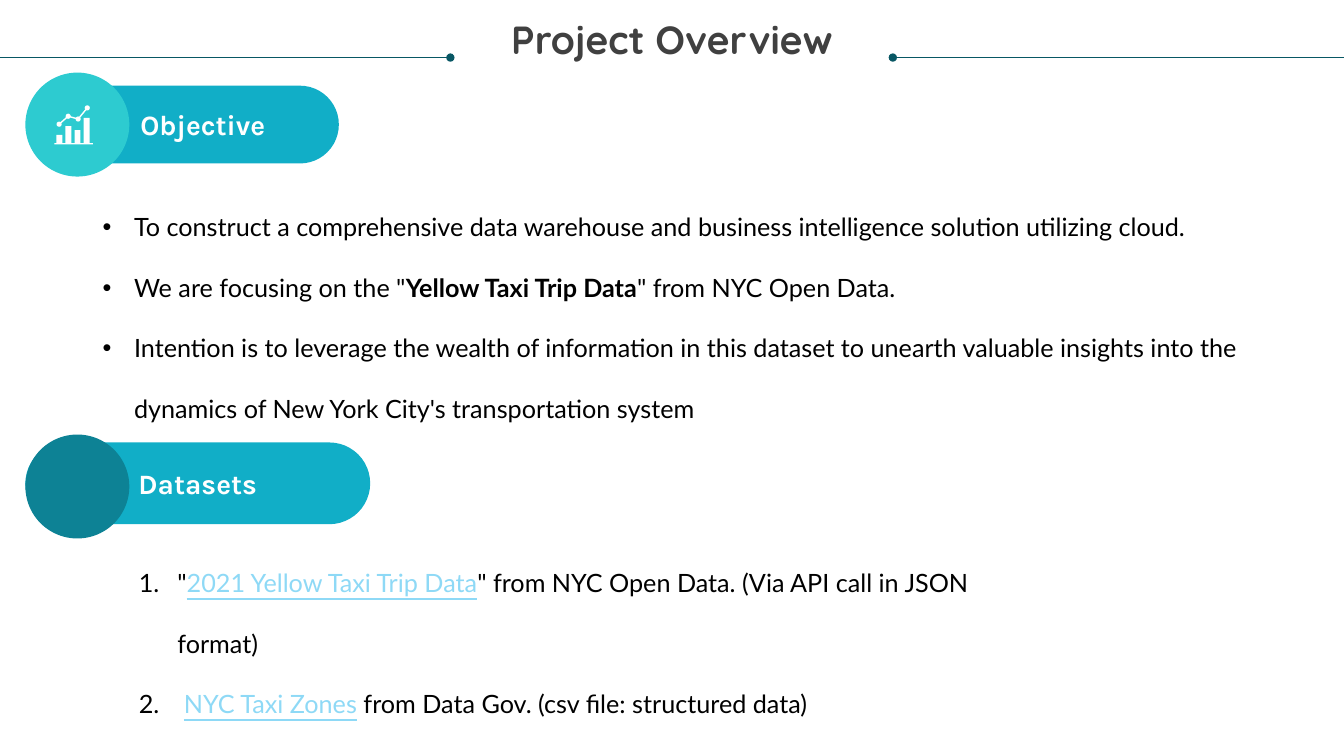
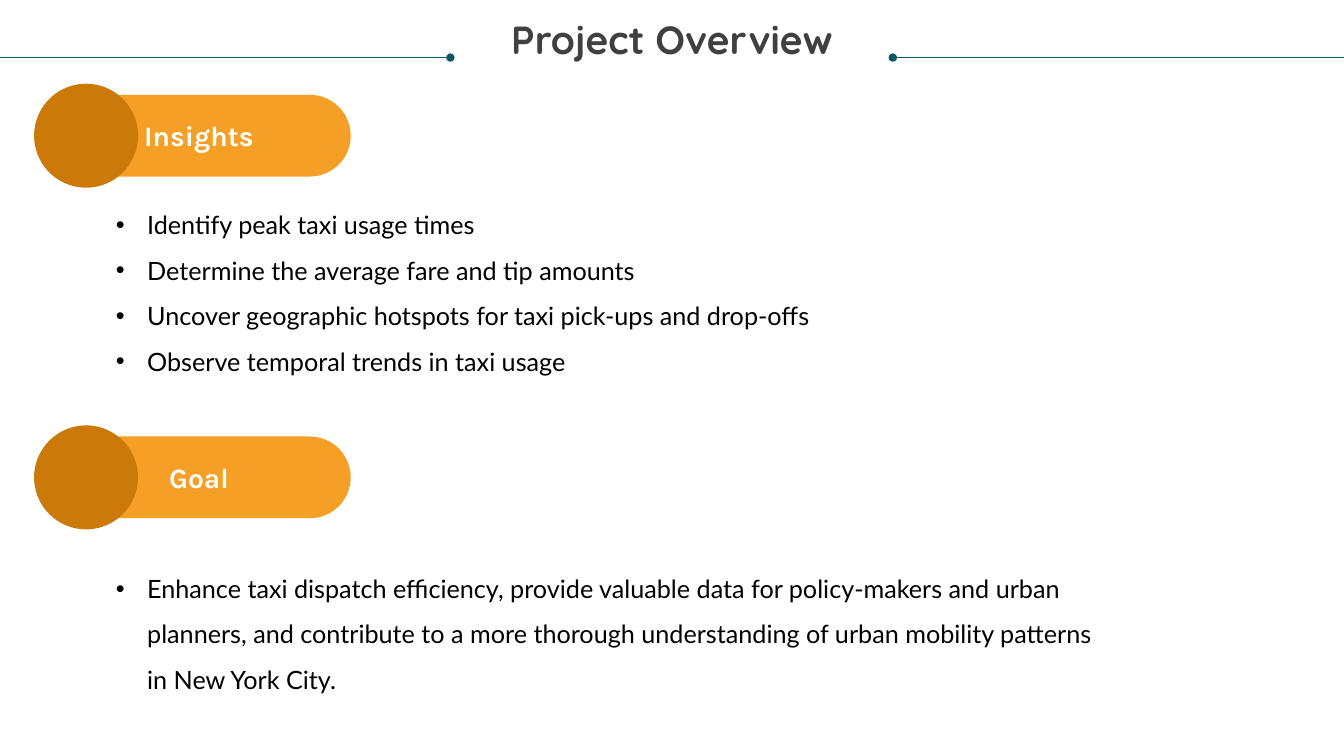
from lxml.etree import SubElement
from pptx import Presentation
from pptx.dml.color import RGBColor
from pptx.enum.shapes import MSO_CONNECTOR, MSO_SHAPE
from pptx.enum.text import MSO_ANCHOR, MSO_AUTO_SIZE, PP_ALIGN
from pptx.oxml.ns import qn
from pptx.util import Cm, Pt

WHITE = RGBColor(0xFF, 0xFF, 0xFF)
BLACK = RGBColor(0x00, 0x00, 0x00)
CHARCOAL = RGBColor(0x40, 0x40, 0x40)
DARK_TEAL = RGBColor(0x08, 0x57, 0x64)
BLUE = RGBColor(0x11, 0xAE, 0xC7)
AQUA = RGBColor(0x2D, 0xCB, 0xD0)
TEAL = RGBColor(0x0D, 0x82, 0x95)
ORANGE = RGBColor(0xF5, 0x9F, 0x26)
BROWN = RGBColor(0xCB, 0x7A, 0x09)
LINK_BLUE = RGBColor(0x8E, 0xD9, 0xF6)

TITLE = {"name": "Quicksand", "size": Pt(28), "bold": True, "color": CHARCOAL}
HEADING = {"name": "Karla", "size": Pt(20), "bold": True, "color": WHITE}
BODY = {"name": "Lato", "size": Pt(18), "color": BLACK}
STRONG = {**BODY, "bold": True}
LINK = {**BODY, "underline": True, "color": LINK_BLUE}

SLIDE_WIDTH = 33.87
RULE_TOP = 1.45
CIRCLE_SIZE = 2.62


def add_span(para, text, formats):
    span = para.add_run()
    span.text = text
    for name, value in formats.items():
        if name == "color":
            span.font.color.rgb = value
        else:
            setattr(span.font, name, value)


def add_text_box(page, area):
    box = page.shapes.add_textbox(*map(Cm, area))
    box.text_frame.word_wrap = True
    box.text_frame.auto_size = MSO_AUTO_SIZE.SHAPE_TO_FIT_TEXT
    return box.text_frame


def add_rule(page, start, end, dot_end):
    rule = page.shapes.add_connector(
        MSO_CONNECTOR.STRAIGHT, Cm(start), Cm(RULE_TOP), Cm(end), Cm(RULE_TOP))
    rule.line.color.rgb = DARK_TEAL
    rule.line.width = Pt(0.5)
    properties = rule._element.spPr
    SubElement(properties.find(qn("a:ln")), qn(dot_end), type="oval")
    SubElement(properties, qn("a:effectLst"))


def add_title(page, text):
    add_rule(page, 22.5, SLIDE_WIDTH, "a:headEnd")
    add_rule(page, 0, 11.35, "a:tailEnd")
    frame = add_text_box(page, (0.64, 0.53, 32.59, 2.16))
    for side in ("left", "top", "right", "bottom"):
        setattr(frame, f"margin_{side}", 0)
    para = frame.paragraphs[0]
    para.alignment = PP_ALIGN.CENTER
    para.line_spacing = 0.9
    add_span(para, text, TITLE)


def paint(shape, color):
    shape.shadow.inherit = False
    shape.fill.solid()
    shape.fill.fore_color.rgb = color
    shape.line.fill.background()


def add_shape(shapes, kind, area, color):
    shape = shapes.add_shape(kind, *map(Cm, area))
    paint(shape, color)
    return shape


def add_heading(page, text, pill_area, pill_color, circle_at, circle_color, left_inset=0.25):
    pill = add_shape(page.shapes, MSO_SHAPE.ROUNDED_RECTANGLE, pill_area, pill_color)
    pill.adjustments[0] = 0.5
    frame = pill.text_frame
    frame.vertical_anchor = MSO_ANCHOR.MIDDLE
    frame.margin_left = Cm(left_inset)
    para = frame.paragraphs[0]
    para.alignment = PP_ALIGN.CENTER
    add_span(para, text, HEADING)
    add_shape(page.shapes, MSO_SHAPE.OVAL,
              (*circle_at, CIRCLE_SIZE, CIRCLE_SIZE), circle_color)


def add_outline(shapes, points, close):
    corners = [(Cm(x), Cm(y)) for x, y in points]
    builder = shapes.build_freeform(*corners[0])
    builder.add_line_segments(corners[1:], close=close)
    return builder.convert_to_shape()


def add_chart_icon(page):
    shapes = page.shapes.add_group_shape().shapes
    left, right, base, bottom = 1.37, 2.34, 3.61, 3.64
    outline = [(left, bottom), (left, base)]
    for index, top in enumerate((3.4, 3.18, 3.28, 2.97)):
        start = 1.42 + 0.23 * index
        end = start + 0.15
        outline += [(start, base), (start, top), (end, top), (end, base)]
    outline += [(right, base), (right, bottom)]
    paint(add_outline(shapes, outline, True), WHITE)

    points = [(1.49, 3.13), (1.72, 2.93), (1.97, 3), (2.2, 2.72)]
    trend = add_outline(shapes, points, False)
    trend.shadow.inherit = False
    trend.fill.background()
    trend.line.color.rgb = WHITE
    trend.line.width = Pt(1)
    dot = 0.13
    for x, y in points:
        add_shape(shapes, MSO_SHAPE.OVAL, (x - dot / 2, y - dot / 2, dot, dot), WHITE)


def add_list(page, area, items, spacing, indent=0.79, numbered=False):
    frame = add_text_box(page, area)
    for index, item in enumerate(items):
        para = frame.add_paragraph() if index else frame.paragraphs[0]
        para.line_spacing = spacing
        properties = para._p.get_or_add_pPr()
        properties.set("marL", str(Cm(indent)))
        properties.set("indent", str(-Cm(indent)))
        if numbered:
            SubElement(properties, qn("a:buAutoNum"), type="arabicPeriod")
        else:
            SubElement(properties, qn("a:buFont"), typeface="Arial")
            SubElement(properties, qn("a:buChar"), char="•")
        for text, formats in item:
            add_span(para, text, formats)


def add_page(deck):
    page = deck.slides.add_slide(deck.slide_layouts[6])
    add_title(page, "Project Overview")
    return page


def build_objective_page(deck):
    page = add_page(deck)
    add_heading(page, "Objective", (1.3, 2.16, 7.24, 1.96), BLUE, (0.64, 1.83), AQUA, 0.64)
    add_chart_icon(page)
    add_list(page, (2.34, 4.45, 30.07, 6.2), [
        [("To construct a comprehensive data warehouse and business intelligence "
          "solution utilizing cloud.", BODY)],
        [('We are focusing on the "', BODY), ("Yellow Taxi Trip Data", STRONG),
         ('" from NYC Open Data.', BODY)],
        [("Intention is to leverage the wealth of information in this dataset to unearth "
          "valuable insights into the dynamics of New York City's transportation system", BODY)],
    ], 2)
    add_heading(page, "Datasets", (0.64, 11.15, 8.69, 2.06), BLUE, (0.64, 10.95), TEAL)
    add_list(page, (3.25, 13.41, 22.28, 3.12), [
        [('"', BODY), ("2021 Yellow Taxi Trip Data", LINK),
         ('" from NYC Open Data. (Via API call in JSON format)', BODY)],
        [(" ", BODY), ("NYC Taxi Zones", LINK),
         (" from Data Gov. (csv file: structured data)", BODY)],
    ], 2, 0.97, True)


def build_insights_page(deck):
    page = add_page(deck)
    insights = (
        "Identify peak taxi usage times",
        "Determine the average fare and tip amounts",
        "Uncover geographic hotspots for taxi pick-ups and drop-offs",
        "Observe temporal trends in taxi usage",
    )
    goals = (
        "Enhance taxi dispatch efficiency, provide valuable data for policy-makers and urban "
        "planners, and contribute to a more thorough understanding of urban mobility patterns "
        "in New York City.",
    )
    sections = (
        ("Insights", 2.11, (2.67, 4.78, 18.36, 4.75), insights),
        ("Goal", 10.72, (2.67, 13.94, 25.58, 2.44), goals),
    )
    for heading, top, area, lines in sections:
        add_heading(page, heading, (1.19, top + 0.28, 7.65, 2.06), ORANGE, (0.86, top), BROWN)
        add_list(page, area, [[(line, BODY)] for line in lines], 1.5)


def main():
    deck = Presentation()
    deck.slide_width = Cm(SLIDE_WIDTH)
    deck.slide_height = Cm(19.05)
    build_objective_page(deck)
    build_insights_page(deck)
    deck.save("out.pptx")


if __name__ == "__main__":
    main()
